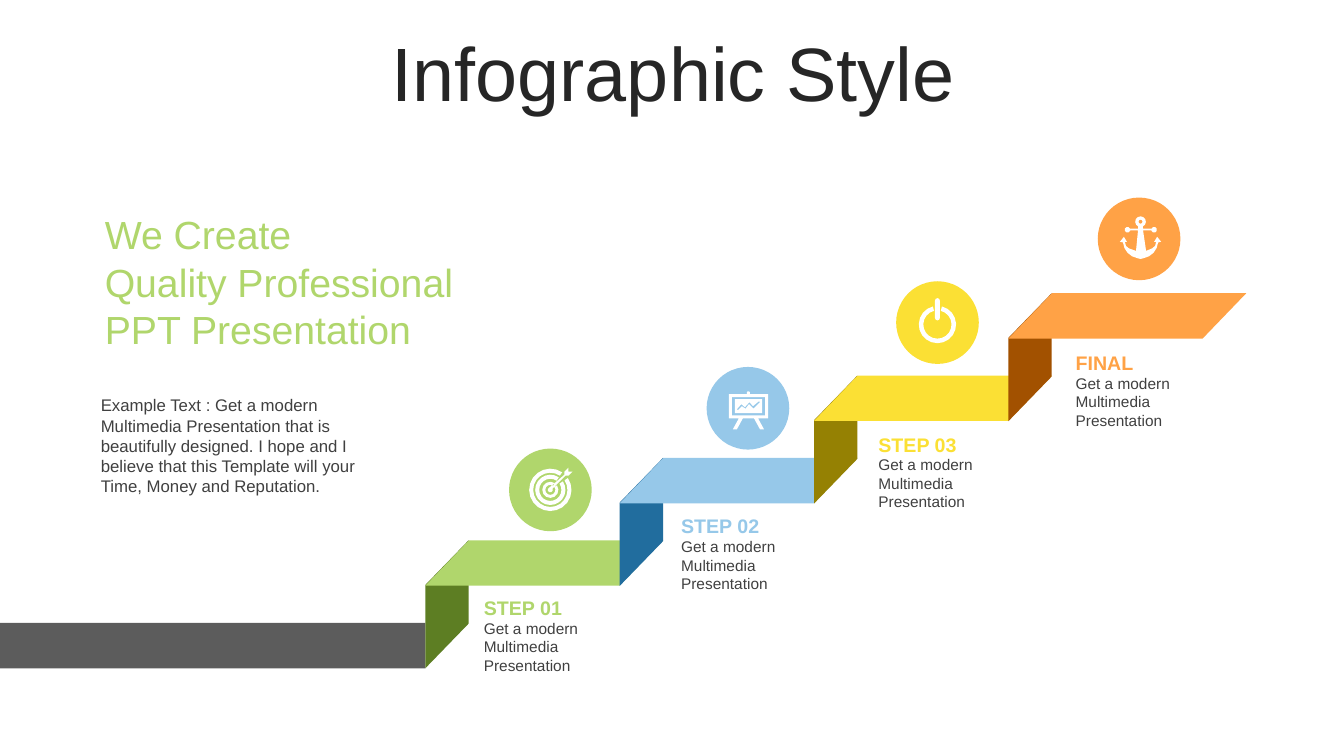
from math import cos, radians, sin

from pptx import Presentation
from pptx.dml.color import RGBColor
from pptx.enum.shapes import MSO_SHAPE
from pptx.enum.text import MSO_ANCHOR, MSO_AUTO_SIZE, PP_ALIGN
from pptx.util import Inches, Pt

# Grid: square cells a tenth of an inch wide
CELL = Inches(0.1)
COLUMNS, ROWS = 133.33, 75
TITLE_ONLY = 5


def color(hex_value):
    return RGBColor.from_string(hex_value)


def cells(*lengths):
    return [round(length * CELL) for length in lengths]


def arc(x, y, radius, start=0, end=360):
    step = 45 if radius < 4 else 30 if radius < 10 else 18
    points = max(2, round(abs(end - start) / step))
    angles = [radians(start + (end - start) * i / points) for i in range(points + 1)]
    return [(x + radius * cos(a), y + radius * sin(a)) for a in angles]


def ring(x, y, outer, inner, start, end):
    return arc(x, y, outer, start, end) + arc(x, y, inner, end, start)


def box(left, top, right, bottom):
    return [(left, top), (right, top), (right, bottom), (left, bottom)]


def write(shape, text, size, ink, bold=False, align=PP_ALIGN.LEFT,
          anchor=MSO_ANCHOR.TOP, margin=0, spacing=None):
    frame = shape.text_frame
    frame.word_wrap = True
    frame.auto_size = MSO_AUTO_SIZE.NONE
    frame.vertical_anchor = anchor
    frame.margin_left = frame.margin_right = Inches(margin)
    frame.margin_top = frame.margin_bottom = 0
    frame.text = text
    paragraph = frame.paragraphs[0]
    paragraph.alignment = align
    paragraph.line_spacing = spacing
    paragraph.space_before = Pt(0)
    paragraph.font.name = "Arial"
    paragraph.font.size = Pt(size)
    paragraph.font.bold = bold
    paragraph.font.color.rgb = color(ink)


class Stage:
    """Holds the style and the current slide."""

    dark, gray, road, white = "262626", "404040", "5C5C5C", "FFFFFF"

    def __init__(self, presentation):
        self.slide = presentation.slides.add_slide(presentation.slide_layouts[TITLE_ONLY])
        self.shapes = self.slide.shapes

    def paint(self, shape, fill):
        shape.shadow.inherit = False
        shape.fill.solid()
        shape.fill.fore_color.rgb = color(fill)
        shape.line.fill.background()
        return shape

    def title(self, text, left, top, width, height):
        title = self.shapes.title
        title.left, title.top, title.width, title.height = cells(left, top, width, height)
        write(title, text, 54, self.dark, align=PP_ALIGN.CENTER,
              anchor=MSO_ANCHOR.MIDDLE, margin=0.1, spacing=0.9)

    def text(self, text, left, top, width, height, **style):
        write(self.shapes.add_textbox(*cells(left, top, width, height)), text, **style)

    def block(self, kind, fill, left, top, width, height):
        return self.paint(self.shapes.add_shape(kind, *cells(left, top, width, height)), fill)

    def tread(self, fill, left, top):
        tread = self.block(MSO_SHAPE.PARALLELOGRAM, fill, left, top, 23.6, 4.5)
        tread.adjustments[0] = 0.963

    def riser(self, fill, left, top):
        # Turned on its side, so the frame is centred on the upright shape
        length, depth = 12.7, 4.3
        shift = (length - depth) / 2
        riser = self.block(MSO_SHAPE.PARALLELOGRAM, fill, left - shift, top + shift,
                           length, depth)
        riser.adjustments[0] = 1.032
        riser.rotation = 270
        riser.element.spPr.xfrm.set("flipH", "1")

    def badge(self, fill, left, top, contours):
        diameter = 8.2
        self.block(MSO_SHAPE.OVAL, fill, left, top, diameter, diameter)
        center_x, center_y = left + diameter / 2, top + diameter / 2
        # Contours are in tenths of a cell from the badge's centre
        outlines = [[cells(center_x + x / 10, center_y + y / 10) for x, y in contour]
                    for contour in contours]
        builder = self.shapes.build_freeform(*outlines[0][0])
        for number, outline in enumerate(outlines):
            if number:
                builder.move_to(*outline[0])
            builder.add_line_segments(outline[1:], close=True)
        self.paint(builder.convert_to_shape(), self.white)


# Icon outlines
TARGET = [ring(0, 0, outer, inner, -34, 304)
          for outer, inner in ((21, 17), (15, 11), (8, 5))]
TARGET.append([(18, -22), (18, -18), (22, -18), (18, -14), (15, -14), (2, -1)]
              + arc(0, 0, 2.5, -20, 250) + [(14, -15), (14, -18)])

BOARD = [
    [(-1, -14), (-1, -16), (0, -17), (2, -16), (2, -14), (20, -14), (20, 10), (10, 10),
     (16, 21), (12, 21), (6, 10), (-5, 10), (-11, 21), (-15, 21), (-9, 10), (-19, 10),
     (-19, -14)],
    box(-16, -11, 17, 7),
    box(-13, -9, 14, 5),
    [(11, -7), (5, -2), (1.5, -6), (-3, -1), (-6.5, -4), (-11, 1), (-10, 2), (-6, -2),
     (-2.5, 0.5), (1, -4), (5.5, 0.5), (12, -6)],
]

POWER = [
    ring(0, 2, 18.5, 14, -76, 256),
    arc(0, -21.8, 2.4, 180, 360) + arc(0, -4.5, 2.4, 0, 180),
]

ANCHOR = [
    arc(1.5, -17, 5.3, 115, 425)
    + [(4, -10), (12, -10)] + arc(15, -9, 2.8, 200, 520)
    + [(12, -8.5), (4, -8.5), (7, 12), (13, 9.5), (16, 7), (17, 3), (15, 3), (18, -2),
       (22, 3)]
    + arc(1.5, 2, 17.5, 5, 80) + [(1.5, 20)] + arc(1.5, 2, 17.5, 100, 175)
    + [(-19, 3), (-15, -2), (-12, 3), (-14, 3), (-13, 7), (-10, 9.5), (-3, 12), (-1, -8.5),
       (-9, -8.5)]
    + arc(-11.5, -9, 2.8, 20, 340) + [(-9, -10), (-1, -10)],
    arc(1.5, -17, 2),
]

# Steps: name, light colour, dark colour, badge left and top, icon
STEPS = [
    ("STEP 01", "B0D66C", "5D7E23", 50.5, 44.5, TARGET),
    ("STEP 02", "96C8E9", "216D9E", 70.1, 36.4, BOARD),
    ("STEP 03", "FBE034", "958103", 88.9, 27.9, POWER),
    ("FINAL", "FFA246", "A25100", 108.9, 19.6, ANCHOR),
]

# Introduction lines with the widths of their boxes
HEADLINE = [("We Create", 20.4), ("Quality Professional", 39), ("PPT Presentation", 37.1)]


def main():
    presentation = Presentation()
    presentation.slide_width, presentation.slide_height = cells(COLUMNS, ROWS)
    stage = Stage(presentation)

    # Title and introduction
    stage.title("Infographic Style", 3.5, 3.7, 126.6, 7.9)
    for number, (line, width) in enumerate(HEADLINE):
        stage.text(line, 10, 21.4 + 4.7 * number, width, 4.2, size=28, ink=STEPS[0][1],
                   margin=0.04, spacing=Pt(30))
    stage.text("Example Text : Get a modern Multimedia Presentation that is beautifully "
               "designed. I hope and I believe that this Template will your Time, Money "
               "and Reputation.",
               10, 39.2, 25.6, 10.1, size=12, ink=stage.gray)

    # Road leading to the stairs
    stage.block(MSO_SHAPE.RECTANGLE, stage.road, 0, 61.8, 42.2, 4.5)

    # Stairs with badges and labels
    for number, (name, light, dark, badge_left, badge_top, icon) in enumerate(STEPS):
        left, top = 42.2 + 19.28 * number, 53.6 - 8.17 * number
        stage.riser(dark, left, top)
        stage.tread(light, left, top)
        stage.badge(light, badge_left, badge_top, icon)
        label_left, label_top = 48 + 19.57 * number, 59.1 - 8.1 * number
        stage.text(name, label_left, label_top, 13.4, 2.4, size=14, ink=light, bold=True)
        stage.text("Get a modern Multimedia Presentation",
                   label_left, label_top + 2.3, 13.4, 5.6, size=11, ink=stage.gray)

    presentation.save("out.pptx")


if __name__ == "__main__":
    main()
